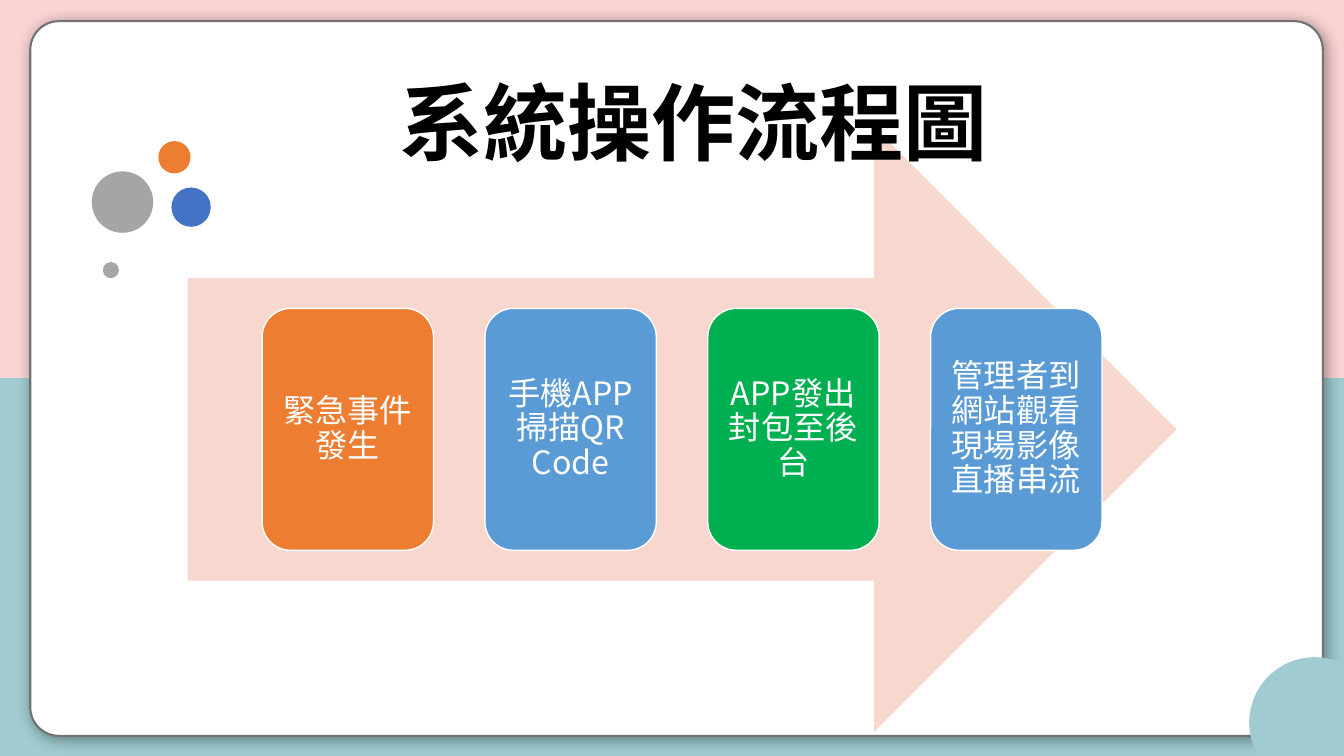
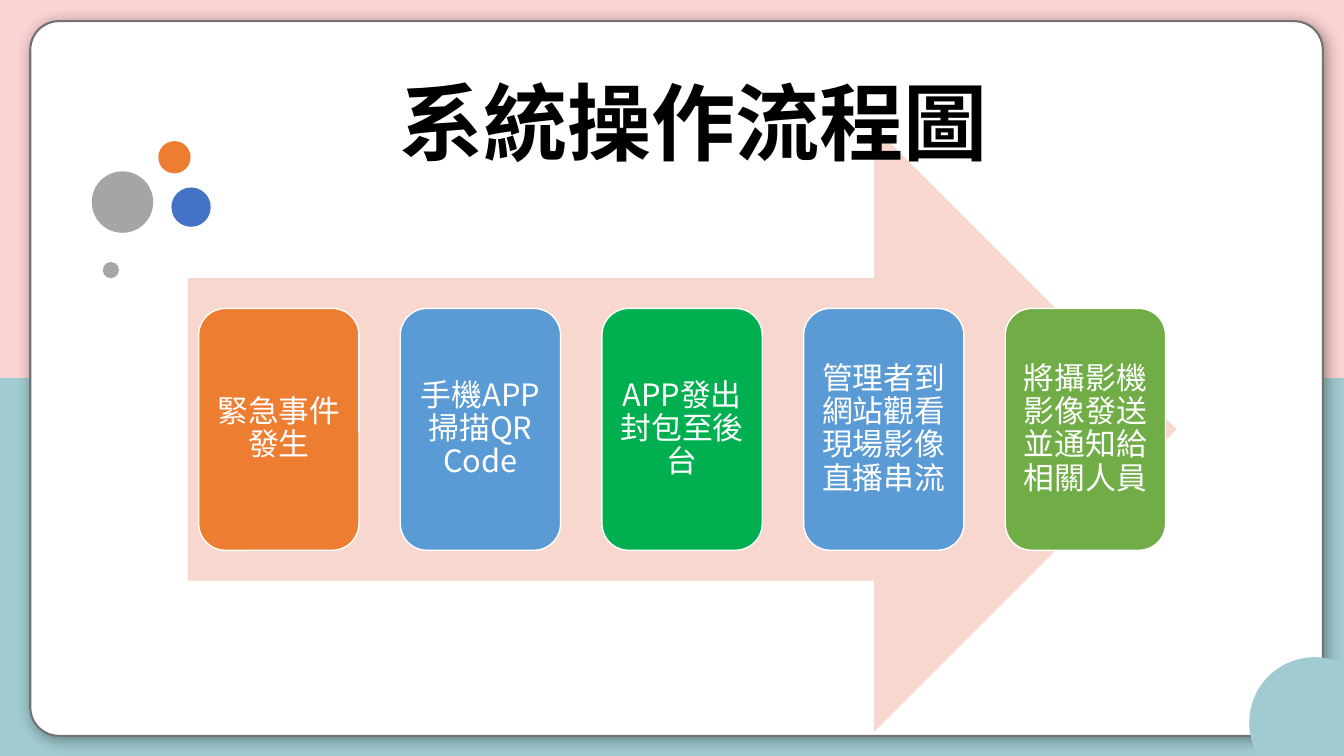
import dataclasses
import lxml.etree
import pptx
import pptx.dml.color
import pptx.enum.shapes
import pptx.enum.text
import pptx.oxml.ns
import pptx.shapes.autoshape
import pptx.slide
import pptx.text.text
import pptx.util

Inches = pptx.util.Inches
Pt = pptx.util.Pt
RGBColor = pptx.dml.color.RGBColor
Kind = pptx.enum.shapes.MSO_SHAPE
Align = pptx.enum.text.PP_ALIGN
Anchor = pptx.enum.text.MSO_ANCHOR
qn = pptx.oxml.ns.qn

FONT = "Noto Sans CJK SC"
WHITE = RGBColor(0xFF, 0xFF, 0xFF)
BLACK = RGBColor(0x00, 0x00, 0x00)
TEAL = RGBColor(0xA0, 0xCB, 0xD0)
PINK = RGBColor(0xFA, 0xD3, 0xD4)
EDGE = RGBColor(0x72, 0x72, 0x72)
PEACH = RGBColor(0xF8, 0xD7, 0xCE)
NAVY = RGBColor(0x44, 0x72, 0xC4)
ORANGE = RGBColor(0xED, 0x7D, 0x31)
GRAY = RGBColor(0xA5, 0xA5, 0xA5)
BLUE = RGBColor(0x5B, 0x9B, 0xD5)
GREEN = RGBColor(0x00, 0xB0, 0x50)
OLIVE = RGBColor(0x70, 0xAD, 0x47)

WIDE, HIGH = 13.33, 7.5
TITLE = "系統操作流程圖"


@dataclasses.dataclass(frozen=True)
class Box:
    left: float
    top: float
    width: float
    height: float


@dataclasses.dataclass(frozen=True)
class Dot:
    left: float
    top: float
    size: float
    color: RGBColor


@dataclasses.dataclass(frozen=True)
class Step:
    text: str
    color: RGBColor


@dataclasses.dataclass(frozen=True)
class Flow:
    steps: tuple[Step, ...]
    width: float
    gap: float
    size: int
    inset: float


ARROW = Box(1.86, 1.26, 9.81, 6)
DOTS = (
    Dot(12.39, 6.52, 1.3, TEAL),
    Dot(1.7, 1.86, 0.39, NAVY),
    Dot(1.57, 1.4, 0.32, ORANGE),
    Dot(1.02, 2.6, 0.16, GRAY),
    Dot(0.91, 1.7, 0.61, GRAY),
)
STEPS = (
    Step("緊急事件發生", ORANGE),
    Step("手機APP掃描QR Code", BLUE),
    Step("APP發出封包至後台", GREEN),
    Step("管理者到網站觀看現場影像直播串流", BLUE),
)
SEND = Step("將攝影機影像發送並通知給相關人員", OLIVE)
FLOWS = (
    Flow(STEPS, 1.7, 0.51, 23, 0.1),
    Flow(STEPS + (SEND,), 1.59, 0.41, 22, 0.09),
)


def place(item: pptx.shapes.base.BaseShape, box: Box) -> None:
    item.left, item.top = Inches(box.left), Inches(box.top)
    item.width, item.height = Inches(box.width), Inches(box.height)


def draw(
    slide: pptx.slide.Slide,
    kind: pptx.enum.shapes.MSO_SHAPE,
    box: Box,
    color: RGBColor,
    edge: RGBColor | None = None,
    weight: float = 1,
) -> pptx.shapes.autoshape.Shape:
    shape = slide.shapes.add_shape(kind, 0, 0, 0, 0)
    place(shape, box)
    shape.shadow.inherit = False
    shape.fill.solid()
    shape.fill.fore_color.rgb = color
    if edge is None:
        shape.line.fill.background()
    else:
        shape.line.color.rgb = edge
        shape.line.width = Pt(weight)
    return shape


def style(
    para: pptx.text.text._Paragraph, size: int, color: RGBColor, bold: bool = False
) -> None:
    para.line_spacing = 0.9
    font = para.font
    font.name, font.size, font.bold = FONT, Pt(size), bold
    font.color.rgb = color
    for latin in list(para._p.iter(qn("a:latin"))):
        east = lxml.etree.Element(qn("a:ea"), typeface=FONT)
        latin.addnext(east)


def shade(shape: pptx.shapes.autoshape.Shape) -> None:
    effect = shape.element.spPr.find(qn("a:effectLst"))
    outer = lxml.etree.SubElement(
        effect,
        qn("a:outerShdw"),
        blurRad=str(Pt(11)),
        dist=str(Pt(3)),
        dir="2700000",
        algn="tl",
        rotWithShape="0",
    )
    black = lxml.etree.SubElement(outer, qn("a:srgbClr"), val=str(BLACK))
    lxml.etree.SubElement(black, qn("a:alpha"), val="40000")


def frame(slide: pptx.slide.Slide, layout: pptx.slide.SlideLayout) -> None:
    half = HIGH / 2
    base = draw(slide, Kind.RECTANGLE, Box(0, half, WIDE, half), TEAL)
    band = draw(slide, Kind.RECTANGLE, Box(0, 0, WIDE, half), PINK)
    card = draw(
        slide, Kind.ROUNDED_RECTANGLE, Box(0.3, 0.21, 12.82, 7.09), WHITE, EDGE, 1.5
    )
    card.adjustments[0] = 0.04
    shade(card)
    for shape in (base, band, card):
        layout.shapes.element.append(shape.element)


def setup(layout: pptx.slide.SlideLayout) -> None:
    for holder in list(layout.placeholders):
        if holder.placeholder_format.idx == 0:
            place(holder, Box(3.86, 0.76, 6.84, 1.55))
        else:
            layout.shapes.element.remove(holder.element)


def head(slide: pptx.slide.Slide) -> None:
    title = slide.shapes.title
    body = title.text_frame
    body.text = TITLE
    body.auto_size = pptx.enum.text.MSO_AUTO_SIZE.NONE
    body.vertical_anchor = Anchor.TOP
    para = body.paragraphs[0]
    para.alignment = Align.LEFT
    para.space_before = Pt(10)
    style(para, 60, BLACK, True)
    slide.shapes.element.append(title.element)


def chain(slide: pptx.slide.Slide, flow: Flow) -> None:
    draw(slide, Kind.RIGHT_ARROW, ARROW, PEACH)
    pitch = flow.width + flow.gap
    span = pitch * len(flow.steps) - flow.gap
    left = ARROW.left + (ARROW.width - span) / 2
    high = ARROW.height * 0.4
    top = ARROW.top + (ARROW.height - high) / 2
    for rank, step in enumerate(flow.steps):
        box = Box(left + rank * pitch, top, flow.width, high)
        card = draw(slide, Kind.ROUNDED_RECTANGLE, box, step.color, WHITE)
        body = card.text_frame
        body.word_wrap = True
        body.vertical_anchor = Anchor.MIDDLE
        body.margin_left = body.margin_right = Inches(flow.inset)
        body.margin_top = body.margin_bottom = Inches(flow.inset)
        body.text = step.text
        para = body.paragraphs[0]
        para.alignment = Align.CENTER
        style(para, flow.size, WHITE)


def main() -> None:
    deck = pptx.Presentation()
    deck.slide_width, deck.slide_height = Inches(WIDE), Inches(HIGH)
    layout = deck.slide_layouts.get_by_name("Title Only")
    setup(layout)
    for rank, flow in enumerate(FLOWS):
        slide = deck.slides.add_slide(layout)
        if rank == 0:
            frame(slide, layout)
        for dot in DOTS:
            draw(slide, Kind.OVAL, Box(dot.left, dot.top, dot.size, dot.size), dot.color)
        chain(slide, flow)
        head(slide)
    deck.save("out.pptx")


if __name__ == "__main__":
    main()
